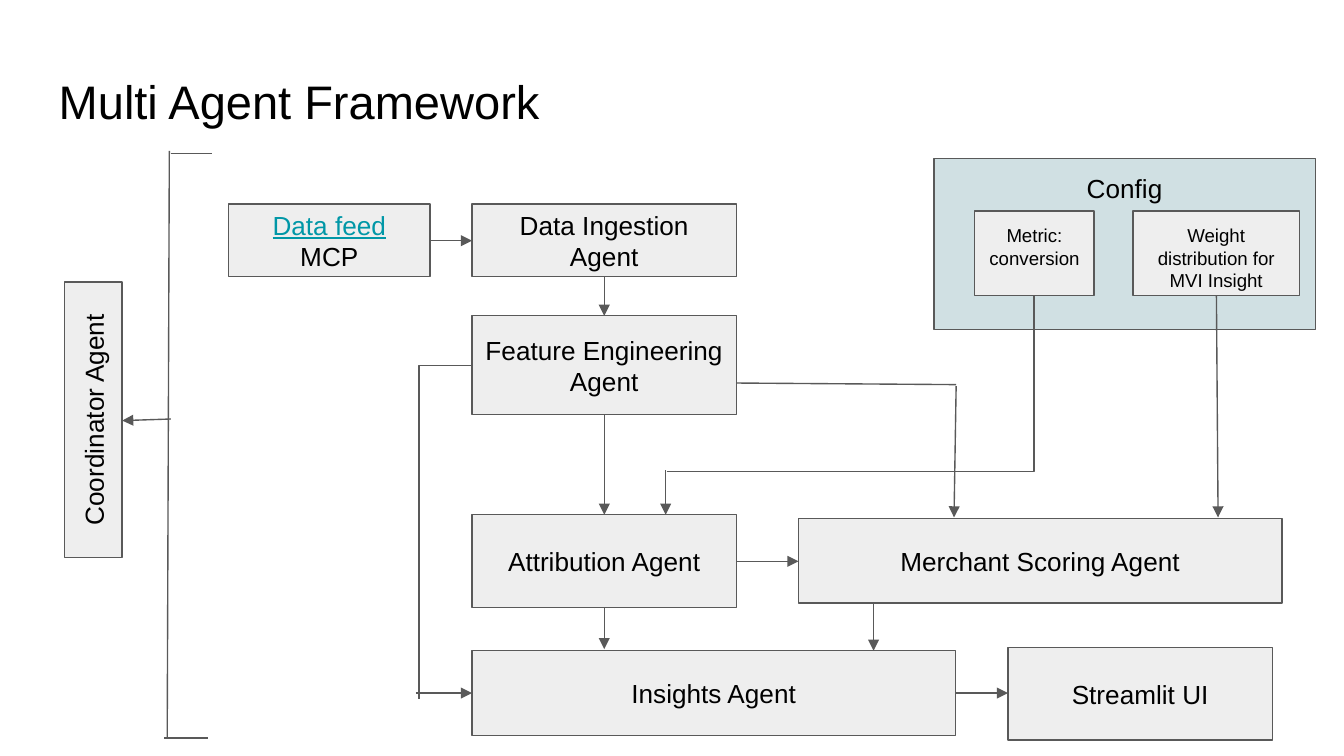
from dataclasses import dataclass
from lxml.etree import SubElement
from pptx import Presentation
from pptx.dml.color import RGBColor as Rgb
from pptx.enum.shapes import MSO_CONNECTOR as Link, MSO_SHAPE as Kind
from pptx.enum.text import MSO_ANCHOR as Anchor, MSO_AUTO_SIZE as Fit, PP_ALIGN as Align
from pptx.oxml.ns import qn
from pptx.util import Cm, Pt

INK = {"text": "000000", "link": "0097A7", "line": "595959",
       "card": "EEEEEE", "config": "D0E0E3"}
FONT = "Arial"
PAD = 0.25


@dataclass
class Box:
    text: str
    left: float
    top: float
    width: float
    height: float
    size: float = 14
    fill: str = "card"
    anchor: Anchor = Anchor.MIDDLE
    turn: int = 0
    link: str = ""


@dataclass
class Wire:
    x1: float
    y1: float
    x2: float
    y2: float
    head: bool = True
    bent: bool = False


def color(name: str) -> Rgb:
    return Rgb.from_string(INK[name])


def pad(frame) -> None:
    frame.word_wrap = True
    frame.auto_size = Fit.NONE
    frame.margin_left = frame.margin_right = Cm(PAD)
    frame.margin_top = frame.margin_bottom = Cm(PAD)


def add_run(para, text: str, size: float, ink: str = "text") -> None:
    run = para.add_run()
    run.text = text
    run.font.name = FONT
    run.font.size = Pt(size)
    run.font.color.rgb = color(ink)
    if ink == "link":
        run.font.underline = True


def draw_box(slide, box: Box) -> None:
    shape = slide.shapes.add_shape(Kind.RECTANGLE, Cm(box.left), Cm(box.top),
                                   Cm(box.width), Cm(box.height))
    shape.shadow.inherit = False
    shape.rotation = box.turn
    shape.fill.solid()
    shape.fill.fore_color.rgb = color(box.fill)
    shape.line.color.rgb = color("line")
    shape.line.width = Pt(0.75)
    frame = shape.text_frame
    pad(frame)
    frame.vertical_anchor = box.anchor
    for i, text in enumerate(box.text.split("\n")):
        para = frame.add_paragraph() if i else frame.paragraphs[0]
        para.alignment = Align.CENTER
        if box.link:
            add_run(para, box.link, box.size, "link")
        add_run(para, text, box.size)


def draw_wire(slide, wire: Wire) -> None:
    kind = Link.ELBOW if wire.bent else Link.STRAIGHT
    line = slide.shapes.add_connector(kind, Cm(wire.x1), Cm(wire.y1),
                                      Cm(wire.x2), Cm(wire.y2))
    line.line.color.rgb = color("line")
    line.line.width = Pt(0.75)
    props = line.element.spPr
    if wire.bent:
        props.find(qn("a:prstGeom")).set("prst", "bentConnector2")
    if wire.head:
        SubElement(props.find(qn("a:ln")), qn("a:tailEnd"), type="triangle")
    SubElement(props, qn("a:effectLst"))


COL, WIDE, SLIM = 8.92, 5, 1.6
RIGHT, MID = COL + WIDE, COL + WIDE / 2
LONG = 9.14
TOP = Anchor.TOP

BOXES = [
    Box(" MCP", 4.32, 3.86, 3.81, 1.37, link="Data feed"),
    Box("Data Ingestion Agent", COL, 3.86, WIDE, 1.37),
    Box("Feature Engineering Agent", COL, 5.97, WIDE, 1.87),
    Box("Attribution Agent", COL, 9.73, WIDE, 1.75),
    Box("Merchant Scoring Agent", 15.09, 9.8, LONG, SLIM),
    Box("Insights Agent", COL, 12.3, LONG, SLIM),
    Box("Streamlit UI", 19.05, 12.24, WIDE, 1.75),
    Box("Config", 17.65, 3, 7.21, 3.23, fill="config", anchor=TOP),
    Box("Metric:\nconversion", 18.42, 3.99, 2.26, SLIM, size=10, anchor=TOP),
    Box("Weight distribution for MVI Insight", 21.41, 3.99, 3.15, SLIM,
        size=10, anchor=TOP),
    Box("Coordinator Agent", -0.84, 7.39, 5.21, 1.09, turn=270),
]

WIRES = [
    Wire(8.13, 4.55, COL, 4.55),
    Wire(MID, 5.23, MID, 5.97),
    Wire(MID, 7.84, MID, 9.73),
    Wire(MID, 11.48, MID, 12.27),
    Wire(RIGHT, 10.61, 15.09, 10.61),
    Wire(16.51, 11.42, 16.51, 12.3),
    Wire(COL + LONG, 13.1, 19.05, 13.1),
    Wire(12.58, 8.89, 12.58, 9.73),
    Wire(12.6, 8.92, 19.54, 5.6, head=False, bent=True),
    Wire(22.99, 5.6, 23.02, 9.78),
    Wire(RIGHT, 7.24, 18.07, 7.27, head=False),
    Wire(18.07, 7.3, 18.03, 9.78),
    Wire(COL, 6.91, 7.92, 13.22, head=False, bent=True),
    Wire(7.86, 13.1, COL, 13.1),
    Wire(3.2, 2.85, 3.16, 13.95, head=False),
    Wire(3.23, 2.9, 4, 2.9, head=False),
    Wire(3.1, 13.95, 3.94, 13.95, head=False),
    Wire(3.23, 7.92, 2.31, 7.95),
]


def main() -> None:
    deck = Presentation()
    deck.slide_width, deck.slide_height = Cm(25.4), Cm(14.29)
    slide = deck.slides.add_slide(deck.slide_layouts[5])
    title = slide.shapes.title
    title.left, title.top = Cm(0.86), Cm(1.12)
    title.width, title.height = Cm(23.67), Cm(1.47)
    pad(title.text_frame)
    title.text_frame.vertical_anchor = TOP
    para = title.text_frame.paragraphs[0]
    para.alignment = Align.LEFT
    add_run(para, "Multi Agent Framework", 25.2)
    for box in BOXES:
        draw_box(slide, box)
    for wire in WIRES:
        draw_wire(slide, wire)
    deck.save("out.pptx")


if __name__ == "__main__":
    main()
